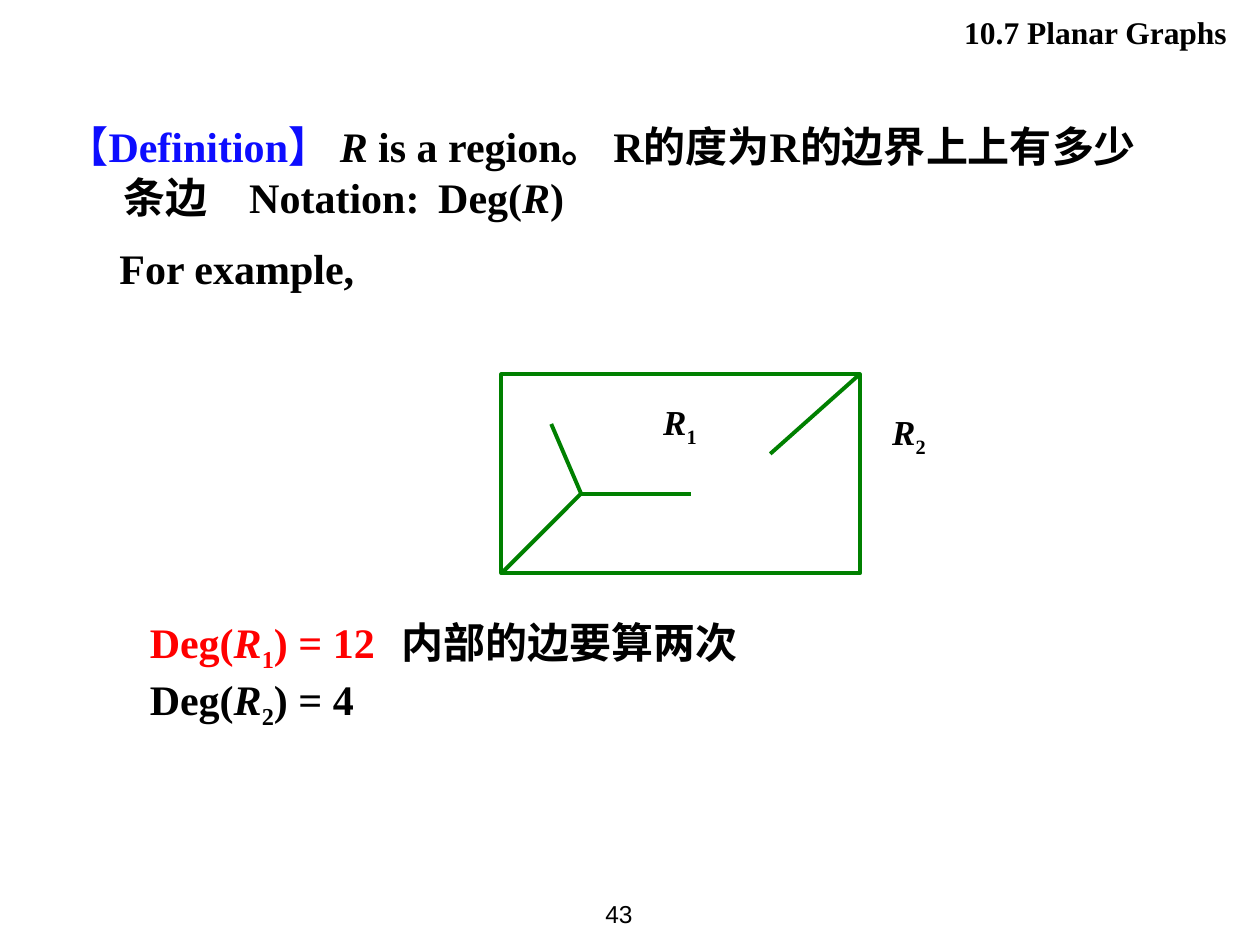
from pptx import Presentation
from pptx.dml.color import RGBColor
from pptx.enum.shapes import MSO_CONNECTOR as CONN, MSO_SHAPE as SHAPE
from pptx.enum.text import MSO_ANCHOR as ANCHOR, PP_ALIGN as ALIGN
from pptx.oxml.ns import qn
from pptx.util import Inches, Pt
from lxml.etree import SubElement

COLORS = {"text": "000000", "term": "0D0DFF", "result": "FF0000", "edge": "008000"}
COLS, ROWS = 100, 75
SERIF, SANS = "Times New Roman", "Arial"

ITALIC = {"italic": True}
SUB = {"sub": True}
TERM = {"color": "term"}
RED = {"color": "result"}


class Deck:
    def __init__(self):
        self.prs = Presentation()
        self.prs.slide_width, self.prs.slide_height = Inches(10), Inches(7.5)
        self.s = self.prs.slides.add_slide(self.prs.slide_layouts[6])
        self.col = self.prs.slide_width / COLS
        self.row = self.prs.slide_height / ROWS

    def xy(self, x, y):
        return round(x * self.col), round(y * self.row)

    def color(self, name):
        return RGBColor.from_string(COLORS[name])

    def style_line(self, sp):
        sp.line.color.rgb = self.color("edge")
        sp.line.width = Pt(2.25)

    def rect(self, parent, x, y, w, h):
        sp = parent.add_shape(SHAPE.RECTANGLE, *self.xy(x, y), *self.xy(w, h))
        sp.shadow.inherit = False
        sp.fill.background()
        self.style_line(sp)

    def edge(self, parent, start, end):
        sp = parent.add_connector(CONN.STRAIGHT, *self.xy(*start), *self.xy(*end))
        SubElement(sp._element.spPr, qn("a:effectLst"))
        self.style_line(sp)

    def text(self, parent, box, paragraphs, size, font=SERIF, bold=True, wrap=True,
             anchor=ANCHOR.TOP):
        x, y, w, h = box
        sp = parent.add_textbox(*self.xy(x, y), *self.xy(w, h))
        tf = sp.text_frame
        tf.word_wrap, tf.vertical_anchor = wrap, anchor
        for i, (layout, runs) in enumerate(paragraphs):
            p = tf.paragraphs[0] if i == 0 else tf.add_paragraph()
            self.layout(p, **layout)
            for content, fmt in runs:
                self.run(p, content, {"name": font, "size": Pt(size), "bold": bold, **fmt})

    def layout(self, p, margin=0, indent=0, tabs=(), **formats):
        pPr = p._p.get_or_add_pPr()
        pPr.set("marL", str(Inches(margin)))
        pPr.set("indent", str(Inches(indent)))
        if tabs:
            tab_list = SubElement(pPr, qn("a:tabLst"))
            for pos in tabs:
                SubElement(tab_list, qn("a:tab"), pos=str(Inches(pos)), algn="l")
        for name, value in formats.items():
            setattr(p, name, value)

    def run(self, p, content, fmt):
        r = p.add_run()
        r.text = content
        fmt = dict(fmt)
        r.font.color.rgb = self.color(fmt.pop("color", "text"))
        if fmt.pop("sub", False):
            r.font._element.set("baseline", "-25000")
        for name, value in fmt.items():
            setattr(r.font, name, value)


def degree(index, value, fmt):
    return [("Deg(", fmt), ("R", {**fmt, **ITALIC}), (index, {**fmt, **SUB}),
            (f") = {value}", fmt)]


def main():
    deck = Deck()
    shapes = deck.s.shapes

    # Page number and section header
    deck.text(shapes, (44.5, 70, 6.7, 5), [({"alignment": ALIGN.RIGHT}, [("43", {})])],
              14, SANS, bold=False, wrap=False, anchor=ANCHOR.MIDDLE)
    deck.text(shapes, (39.8, -0.3, 59.4, 5), [
        ({"alignment": ALIGN.RIGHT},
         [("10.7 Planar Graphs", {"size": Pt(18)}), (" ", {})])], 24)

    # Definition
    deck.text(shapes, (3.5, 9.1, 90.6, 15.1), [
        ({"margin": 0.53, "indent": -0.45, "tabs": (2.33, 4.01)},
         [("【Definition】 ", TERM), ("R", ITALIC),
          (" is a region。 R的度为R的边界上上有多少条边\tNotation:\tDeg(", {}),
          ("R", ITALIC), (")", {})]),
        ({"margin": 0.5, "space_before": Pt(12)}, [("For example,", {})])], 24)

    # Example graph on its own grid of 36 by 20 steps
    left, top, step = 39.8, 29.7, 0.79

    def at(x, y):
        return left + x * step, top + y * step

    graph = shapes.add_group_shape().shapes
    deck.rect(graph, left, top, 36 * step, 20 * step)
    joint = (8, 12)
    for start, end in [((0, 20), joint), ((5, 5), joint), (joint, (19, 12)),
                       ((36, 0), (27, 8))]:
        deck.edge(graph, at(*start), at(*end))
    for index, spot in [("1", (15, 2)), ("2", (38, 3))]:
        deck.text(graph, (*at(*spot), 7.1, 4.3),
                  [({}, [("R", ITALIC), (index, SUB)])], 20)

    # Degrees of the two regions
    deck.text(shapes, (10.9, 48.4, 57.1, 9.1), [
        ({"tabs": (2.12,)}, degree("1", 12, RED) + [("\t内部的边要算两次", {})]),
        ({}, degree("2", 4, {}))], 24)

    deck.prs.save("out.pptx")


if __name__ == "__main__":
    main()
